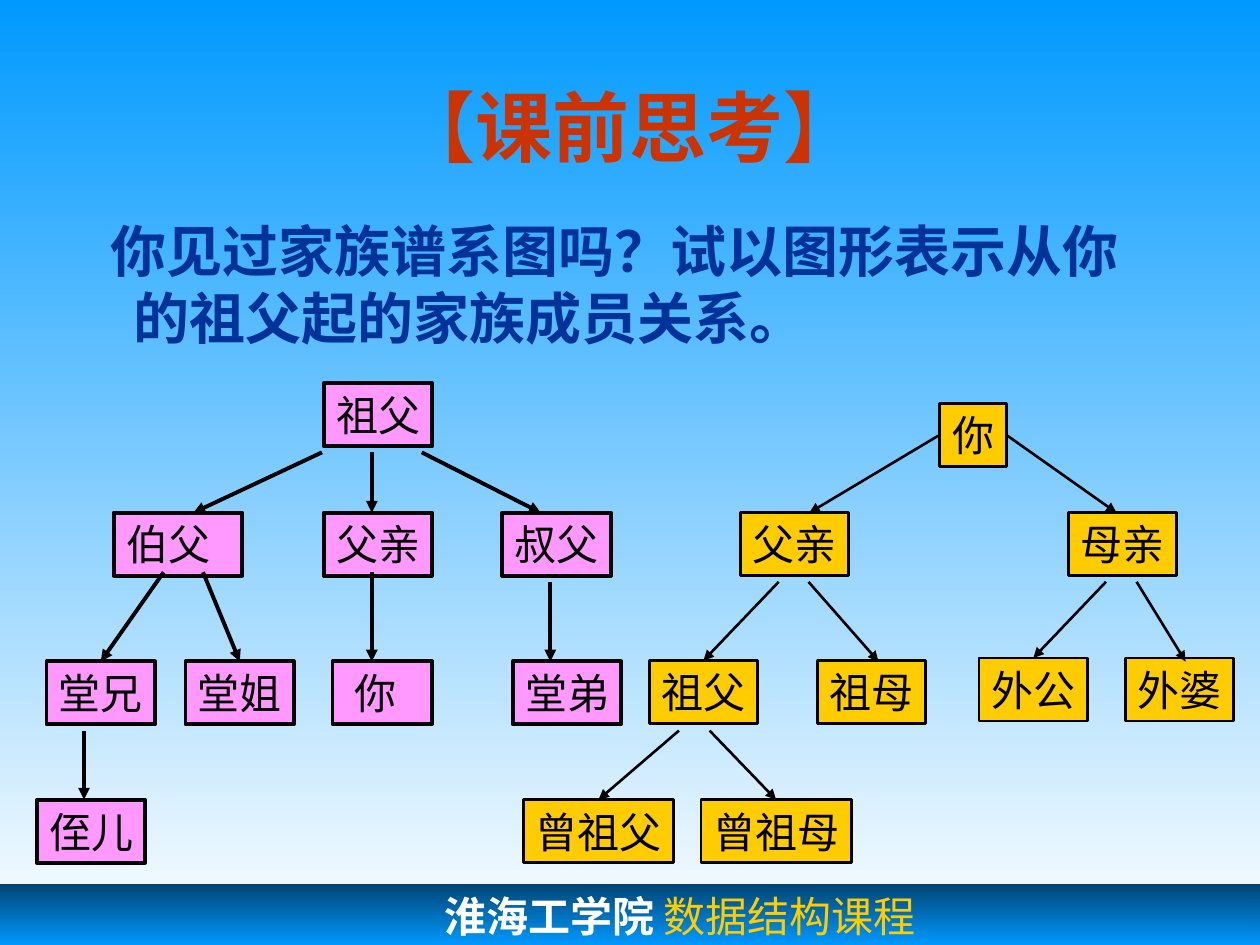
from copy import deepcopy
from math import dist

from pptx import Presentation
from pptx.dml.color import RGBColor
from pptx.enum import shapes, text
from pptx.oxml import ns
from pptx.oxml.xmlchemy import OxmlElement
from pptx.util import Pt

SERIF = "Times New Roman"
TITLE = ("【课前思考】", 44, "Calibri", "CC3300", True)
QUESTION = ("你见过家族谱系图吗？试以图形表示从你的祖父起的家族成员关系。",
            32, "Calibri", "003399", True)
FOOTER = [
    ("淮海工学院", 24, "DejaVu Sans Mono", "FFFFFF", True),
    (" 数据结构课程", 24, SERIF, "FFCC00", False),
]
BOX_HEIGHT = 36
SNAP = 2.5
SPECIAL_WIDTHS = {"伯父": 73.5, " 你": 57}

TREES = [
    {
        "fill": "FF99FF",
        "line": 2.25,
        "rows": [
            (219, [("祖父", 185)]),
            (293, [("伯父", 65), ("父亲", 185), ("叔父", 287)]),
            (378, [("堂兄", 26.6), ("堂姐", 106), (" 你", 190), ("堂弟", 293)]),
            (457, [("侄儿", 21)]),
        ],
        "arrows": [
            ((184, 258.5), (110.5, 293)),
            ((212.5, 258.5), (212.5, 293)),
            ((241, 258.5), (309, 293)),
            ((212.5, 327), (212.5, 378)),
            ((93.5, 327), (59, 378)),
            ((116, 327), (139, 378)),
            ((314.5, 332.5), (314.5, 378)),
            ((48, 417.5), (48, 457)),
        ],
    },
    {
        "fill": "FFCC00",
        "line": 1.5,
        "rows": [
            (230.5, [("你", 537)]),
            (293, [("父亲", 423), ("母亲", 610.5)]),
            (377.5, [("祖父", 371), ("祖母", 467)]),
            (376, [("外公", 559.5), ("外婆", 643)]),
            (457, [("曾祖父", 299), ("曾祖母", 400.5)]),
        ],
        "arrows": [
            ((536, 247.5), (462.5, 293)),
            ((575.5, 247.5), (638, 293)),
            ((445, 332.5), (400, 377.5)),
            ((462, 332.5), (502, 378)),
            ((632, 332.5), (592.5, 376)),
            ((649.5, 332.5), (677.5, 378)),
            ((388, 417.5), (343, 457)),
            ((405.5, 417.5), (445, 457)),
        ],
    },
]


def color(value):
    return RGBColor.from_string(value)


def set_gradient(fill, element, colors):
    fill.gradient()
    fill.gradient_angle = 270
    stop_list = next(element.iter(ns.qn("a:gsLst")))
    while len(stop_list) < len(colors):
        stop_list.append(deepcopy(stop_list[-1]))
    for index, (stop, value) in enumerate(zip(fill.gradient_stops, colors)):
        stop.position = index / (len(colors) - 1)
        stop.color.rgb = color(value)


def add_run(paragraph, wording, size, font, value, bold):
    run = paragraph.add_run()
    run.text = wording
    run.font.size = Pt(size)
    run.font.name = font
    run.font.color.rgb = color(value)
    run.font.bold = bold


def set_indent(paragraph, left, first):
    properties = paragraph._p.get_or_add_pPr()
    properties.set("marL", str(Pt(left)))
    properties.set("indent", str(Pt(first)))


def add_rectangle(slide, left, top, width, height):
    shape = slide.shapes.add_shape(
        shapes.MSO_SHAPE.RECTANGLE, Pt(left), Pt(top), Pt(width), Pt(height))
    shape.shadow.inherit = False
    shape.text_frame.word_wrap = True
    paragraph = shape.text_frame.paragraphs[0]
    paragraph.alignment = text.PP_ALIGN.LEFT
    return shape, paragraph


def add_text(slide, left, top, width, height, anchor):
    frame = slide.shapes.add_textbox(Pt(left), Pt(top), Pt(width), Pt(height)).text_frame
    frame.word_wrap = True
    frame.vertical_anchor = anchor
    return frame.paragraphs[0]


def add_member(slide, tree, name, left, top):
    width = SPECIAL_WIDTHS.get(name, 24 * len(name) + 14)
    shape, paragraph = add_rectangle(slide, left, top, width, BOX_HEIGHT)
    shape.fill.solid()
    shape.fill.fore_color.rgb = color(tree["fill"])
    shape.line.color.rgb = color("000000")
    shape.line.width = Pt(tree["line"])
    frame = shape.text_frame
    frame.vertical_anchor = text.MSO_ANCHOR.MIDDLE
    frame.margin_right = Pt(3)
    frame.margin_top = frame.margin_bottom = 0
    add_run(paragraph, name, 24, SERIF, "000000", False)
    middle, center = left + width / 2, top + BOX_HEIGHT / 2
    sites = [(middle, top), (left, center), (middle, top + BOX_HEIGHT), (left + width, center)]
    return [(shape, index, site) for index, site in enumerate(sites)]


def add_arrow(slide, start, end, width, sites):
    connector = slide.shapes.add_connector(
        shapes.MSO_CONNECTOR.STRAIGHT, *(Pt(value) for value in start + end))
    connector.line.color.rgb = color("000000")
    connector.line.width = Pt(width)
    head = OxmlElement("a:tailEnd")
    head.set("type", "triangle")
    connector.line._get_or_add_ln().append(head)
    connector._element.spPr.append(OxmlElement("a:effectLst"))
    for point, connect in ((start, connector.begin_connect), (end, connector.end_connect)):
        for shape, index, site in sites:
            if dist(point, site) <= SNAP:
                connect(shape, index)


def main():
    presentation = Presentation()
    presentation.slide_width, presentation.slide_height = Pt(720), Pt(540)
    slide = presentation.slides.add_slide(presentation.slide_layouts[6])
    set_gradient(slide.background.fill, slide._element, ["0099FF", "FFFFFF"])

    band, paragraph = add_rectangle(slide, 0, 505.4, 720, 70)
    set_gradient(band.fill, band._element, ["004675", "0099FF", "004675"])
    band.line.fill.background()
    band.text_frame.vertical_anchor = text.MSO_ANCHOR.TOP
    set_indent(paragraph, 247, 0)
    for run in FOOTER:
        add_run(paragraph, *run)

    paragraph = add_text(slide, 54, 48, 612, 48, text.MSO_ANCHOR.MIDDLE)
    paragraph.alignment = text.PP_ALIGN.CENTER
    add_run(paragraph, *TITLE)

    paragraph = add_text(slide, 42, 120, 624, 102, text.MSO_ANCHOR.TOP)
    set_indent(paragraph, 27, -13)
    add_run(paragraph, *QUESTION)

    for tree in TREES:
        sites = []
        for top, members in tree["rows"]:
            for name, left in members:
                sites += add_member(slide, tree, name, left, top)
        for start, end in tree["arrows"]:
            add_arrow(slide, start, end, tree["line"], sites)

    presentation.save("out.pptx")


if __name__ == "__main__":
    main()
